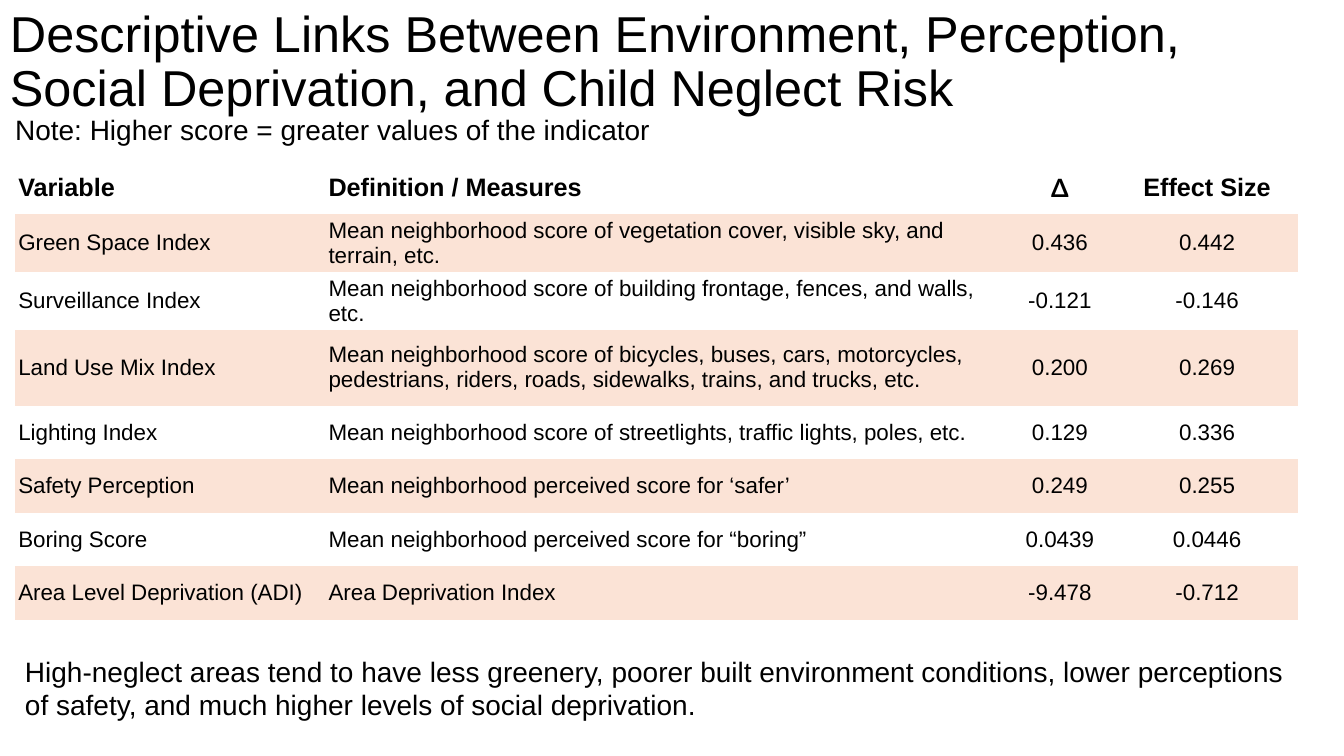
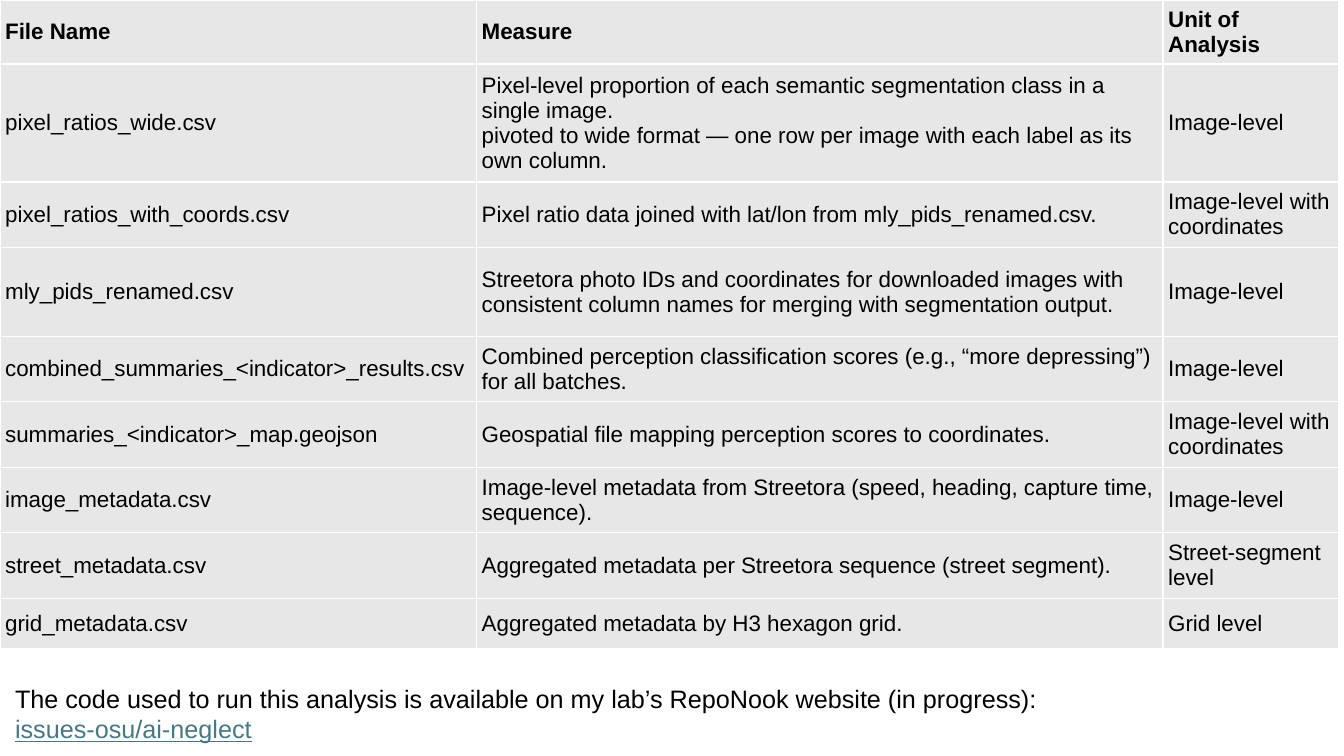
import pptx
import pptx.dml.color
import pptx.enum.text
import pptx.oxml
import pptx.oxml.ns
import pptx.util
from pptx.util import Cm

COLORS = {"text": "000000", "band": "FBE3D6", "gray": "E7E7E7", "border": "FFFFFF", "link": "467886"}
FONT = "Arial"
MIDDLE = pptx.enum.text.MSO_ANCHOR.MIDDLE
LEFT = pptx.enum.text.PP_ALIGN.LEFT
CENTER = pptx.enum.text.PP_ALIGN.CENTER
GROW = pptx.enum.text.MSO_AUTO_SIZE.SHAPE_TO_FIT_TEXT


def write_text(frame, text, size=16, bold=False, color="text", font=FONT, align=LEFT,
               underline=False, line_spacing=None):
    frame.word_wrap = True
    for line in text.split("\n"):
        para = frame.add_paragraph() if frame.text else frame.paragraphs[0]
        para.alignment = align
        para.line_spacing = line_spacing
        span = para.add_run()
        span.text = line
        span.font.name = font
        span.font.size = pptx.util.Pt(size)
        span.font.bold = bold
        span.font.underline = underline
        span.font.color.rgb = pptx.dml.color.RGBColor.from_string(COLORS[color])


def add_grid(page, left, top, widths, heights, rows, fills, margins, header_size,
             centered=(), border=None):
    shape = page.shapes.add_table(len(rows), len(widths), Cm(left), Cm(top),
                                  Cm(sum(widths)), Cm(sum(heights)))
    table = shape.table
    table.first_row = False
    table.horz_banding = False
    for column, width in zip(table.columns, widths):
        column.width = Cm(width)
    for row, height in zip(table.rows, heights):
        row.height = Cm(height)
    paint = "<a:noFill/>"
    if border:
        paint = f'<a:solidFill><a:srgbClr val="{COLORS[border]}"/></a:solidFill>'
    for r, texts in enumerate(rows):
        for c, text in enumerate(texts):
            cell = table.cell(r, c)
            cell.vertical_anchor = MIDDLE
            cell.margin_left = cell.margin_right = Cm(margins[0])
            cell.margin_top = cell.margin_bottom = Cm(margins[1])
            fill = fills[r % len(fills)]
            if fill:
                cell.fill.solid()
                cell.fill.fore_color.rgb = pptx.dml.color.RGBColor.from_string(COLORS[fill])
            else:
                cell.fill.background()
            properties = cell._tc.get_or_add_tcPr()
            for position, side in enumerate(("lnL", "lnR", "lnT", "lnB")):
                line = pptx.oxml.parse_xml(
                    f'<a:{side} {pptx.oxml.ns.nsdecls("a")} w="12700">{paint}</a:{side}>')
                properties.insert(position, line)
            write_text(cell.text_frame, text, size=16 if r else header_size, bold=r == 0,
                       font="Lato" if text == "Δ" else FONT,
                       align=CENTER if c in centered else LEFT)


deck = pptx.Presentation()
deck.slide_width = Cm(33.87)
deck.slide_height = Cm(19.05)
blank = deck.slide_layouts[6]

results_page = deck.slides.add_slide(blank)
title_box = results_page.shapes.add_textbox(Cm(0), Cm(0), Cm(31.14), Cm(3.2))
title_box.text_frame.vertical_anchor = MIDDLE
write_text(title_box.text_frame,
           "Descriptive Links Between Environment, Perception, Social Deprivation, and Child Neglect Risk",
           size=36, line_spacing=0.9)

results = [
    ("Variable", "Definition / Measures", "Δ", "Effect Size"),
    ("Green Space Index",
     "Mean neighborhood score of vegetation cover, visible sky, and terrain, etc.", "0.436", "0.442"),
    ("Surveillance Index",
     "Mean neighborhood score of building frontage, fences, and walls, etc.", "-0.121", "-0.146"),
    ("Land Use Mix Index",
     "Mean neighborhood score of bicycles, buses, cars, motorcycles, pedestrians, riders, roads, "
     "sidewalks, trains, and trucks, etc.", "0.200", "0.269"),
    ("Lighting Index",
     "Mean neighborhood score of streetlights, traffic lights, poles, etc.", "0.129", "0.336"),
    ("Safety Perception", "Mean neighborhood perceived score for ‘safer’", "0.249", "0.255"),
    ("Boring Score", "Mean neighborhood perceived score for “boring”", "0.0439", "0.0446"),
    ("Area Level Deprivation (ADI)", "Area Deprivation Index", "-9.478", "-0.712"),
]
add_grid(results_page, 0.38, 4.05, [7.82, 17.1, 2.82, 4.6], [1.35] * 3 + [1.91] + [1.35] * 4,
         results, fills=[None, "band"], margins=(0.08, 0.05), header_size=18, centered=(2, 3))

notes = [
    (0.13, 2.7, 17.2, 1.11, "Note: Higher score = greater values of the indicator"),
    (0.38, 16.36, 32.36, 1.96,
     "High-neglect areas tend to have less greenery, poorer built environment conditions, "
     "lower perceptions of safety, and much higher levels of social deprivation."),
]
for left, top, width, height, text in notes:
    note_box = results_page.shapes.add_textbox(Cm(left), Cm(top), Cm(width), Cm(height))
    note_box.text_frame.auto_size = GROW
    write_text(note_box.text_frame, text, size=20)

files_page = deck.slides.add_slide(blank)
files = [
    ("File Name", "Measure", "Unit of Analysis"),
    ("pixel_ratios_wide.csv",
     "Pixel-level proportion of each semantic segmentation class in a single image.\n"
     "pivoted to wide format — one row per image with each label as its own column.", "Image-level"),
    ("pixel_ratios_with_coords.csv",
     "Pixel ratio data joined with lat/lon from mly_pids_renamed.csv.", "Image-level with coordinates"),
    ("mly_pids_renamed.csv",
     "Streetora photo IDs and coordinates for downloaded images with consistent column names "
     "for merging with segmentation output.", "Image-level"),
    ("combined_summaries_<indicator>_results.csv",
     "Combined perception classification scores (e.g., “more depressing”) for all batches.",
     "Image-level"),
    ("summaries_<indicator>_map.geojson",
     "Geospatial file mapping perception scores to coordinates.", "Image-level with coordinates"),
    ("image_metadata.csv",
     "Image-level metadata from Streetora (speed, heading, capture time, sequence).", "Image-level"),
    ("street_metadata.csv",
     "Aggregated metadata per Streetora sequence (street segment).", "Street-segment level"),
    ("grid_metadata.csv", "Aggregated metadata by H3 hexagon grid.", "Grid level"),
]
add_grid(files_page, 0, 0, [12.01, 17.3, 4.42], [1.6, 2.97, 1.65, 2.24] + [1.65] * 4 + [1.27],
         files, fills=["gray"], margins=(0.13, 0.13), header_size=16, border="border")

code_box = files_page.shapes.add_textbox(Cm(0.13), Cm(17.1), Cm(33.73), Cm(1.8))
code_box.text_frame.auto_size = GROW
write_text(code_box.text_frame,
           "The code used to run this analysis is available on my lab’s RepoNook website (in progress):",
           size=18)
write_text(code_box.text_frame, "issues-osu/ai-neglect", size=18, color="link", underline=True)

deck.save("out.pptx")
